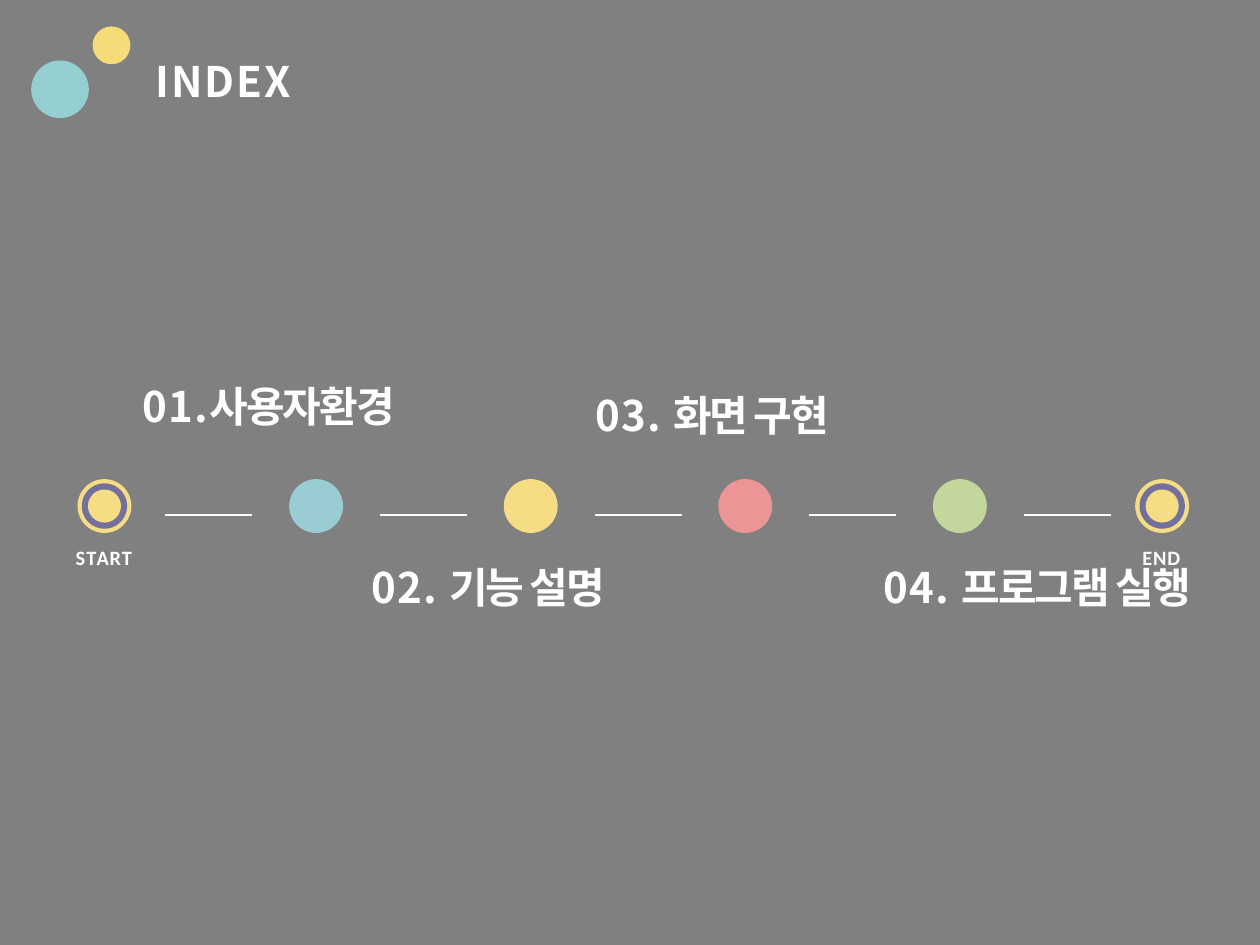
from dataclasses import dataclass

from lxml import etree
from pptx import Presentation
from pptx.dml.color import RGBColor
from pptx.enum.shapes import MSO_CONNECTOR, MSO_SHAPE
from pptx.enum.text import MSO_ANCHOR, MSO_AUTO_SIZE, PP_ALIGN
from pptx.oxml.ns import qn
from pptx.util import Inches, Pt

OVAL = MSO_SHAPE.OVAL
LINE = MSO_CONNECTOR.STRAIGHT
TOP = MSO_ANCHOR.TOP
LEFT = PP_ALIGN.LEFT
GROW = MSO_AUTO_SIZE.SHAPE_TO_FIT_TEXT


@dataclass(frozen=True)
class Theme:
    """Colours, fonts and type sizes of the slide."""
    back: str = "808080"
    text: str = "FFFFFF"
    gold: str = "F6DC85"
    ring: str = "73709C"
    sun: str = "F7DB79"
    sea: str = "95CED0"
    stops: tuple = ("9ACDD3", "F6DC85", "EB9597", "C3D69B")
    head: str = "Noto Sans CJK KR"
    note: str = "Calibri"
    big: float = 32
    small: float = 15.5


THEME = Theme()
STEP = 2.27
DOT = 0.57
RINGS = ((DOT, THEME.gold), (0.48, THEME.ring), (0.35, THEME.gold))
ITEMS = (
    (0.68, -1.04, 3.64, "01.", "사용자환경"),
    (3.1, 0.87, 3.31, "02. ", "기능 설명"),
    (5.47, -0.95, 4.36, "03. ", "화면 구현"),
    (8.52, 0.87, 3.82, "04. ", "프로그램 실행"),
)


def rgb(code):
    """Turn a hex code into a colour."""
    return RGBColor.from_string(code)


def place(shape, left, top, width, height):
    """Move and size a shape, in inches."""
    shape.left, shape.top = Inches(left), Inches(top)
    shape.width, shape.height = Inches(width), Inches(height)


def write(shape, runs, face, size):
    """Fill a shape with one bold line of (text, spacing) runs."""
    frame = shape.text_frame
    frame.word_wrap, frame.auto_size = True, GROW
    frame.vertical_anchor = TOP
    frame.margin_left = frame.margin_right = 0
    frame.margin_top = frame.margin_bottom = 0
    para = frame.paragraphs[0]
    para.alignment = LEFT
    font = para.font
    font.name, font.size, font.bold = face, Pt(size), True
    font.color.rgb = rgb(THEME.text)
    props = para._p.pPr
    props.set("marL", str(Inches(0.01)))
    props.set("indent", "0")
    base = props.find(qn("a:defRPr"))
    etree.SubElement(base, qn("a:ea")).set("typeface", face)
    for text, gap in runs:
        run = para.add_run()
        run.text = text
        run._r.get_or_add_rPr().set("spc", str(round(gap * 100)))


def label(shapes, left, top, width, height, runs, face, size):
    """Add a text box with one line."""
    box = shapes.add_textbox(0, 0, 0, 0)
    write(box, runs, face, size)
    place(box, left, top, width, height)


def disc(shapes, left, top, size, code):
    """Add a plain filled circle."""
    dot = shapes.add_shape(
        OVAL, Inches(left), Inches(top), Inches(size), Inches(size))
    dot.shadow.inherit = False
    dot.fill.solid()
    dot.fill.fore_color.rgb = rgb(code)
    dot.line.fill.background()


def rule(shapes, left, top, width):
    """Add a level line."""
    line = shapes.add_connector(
        LINE, Inches(left), Inches(top), Inches(left + width), Inches(top))
    line.line.color.rgb = rgb(THEME.text)
    line.line.width = Pt(2)
    etree.SubElement(line._element.spPr, qn("a:effectLst"))


def header(slide, left, top):
    """Place the two discs and the title."""
    disc(slide.shapes, left + 0.65, top, 0.4, THEME.sun)
    disc(slide.shapes, left, top + 0.36, 0.61, THEME.sea)
    title = slide.shapes.title
    write(title, [("INDEX", 1.4)], THEME.head, THEME.big)
    place(title, left + 1.31, top + 0.31, 2, 0.54)


def target(slide, left, top, width, runs):
    """Group a ringed end mark with its caption centred below."""
    shapes = slide.shapes.add_group_shape().shapes
    for size, code in RINGS:
        inset = (DOT - size) / 2
        disc(shapes, left + inset, top + inset, size, code)
    label(shapes, left + (DOT - width) / 2, top + 0.7, width, 0.27,
          runs, THEME.note, THEME.small)


def route(slide, left, top):
    """Place the stops, the lines between them and the item names."""
    shapes = slide.shapes
    target(slide, left, top, 0.63, [("S", 1), ("T", -0.3), ("ART", 0.7)])
    target(slide, left + 11.19, top, 0.44, [("END", 0.7)])
    for i, code in enumerate(THEME.stops):
        disc(shapes, left + 2.24 + i * STEP, top, DOT, code)
    for i in range(len(THEME.stops) + 1):
        rule(shapes, left + 0.93 + i * STEP, top + 0.38, 0.92)
    for x, y, width, number, name in ITEMS:
        label(shapes, left + x, top + y, width, 0.54,
              [(number, 0.9), (name, -1.6)], THEME.head, THEME.big)


def main():
    """Build and save the slide."""
    deck = Presentation()
    deck.slide_width, deck.slide_height = Inches(13.33), Inches(10)
    slide = deck.slides.add_slide(deck.slide_layouts[5])
    slide.background.fill.solid()
    slide.background.fill.fore_color.rgb = rgb(THEME.back)
    header(slide, 0.33, 0.28)
    route(slide, 0.82, 5.07)
    deck.save("out.pptx")


if __name__ == "__main__":
    main()
